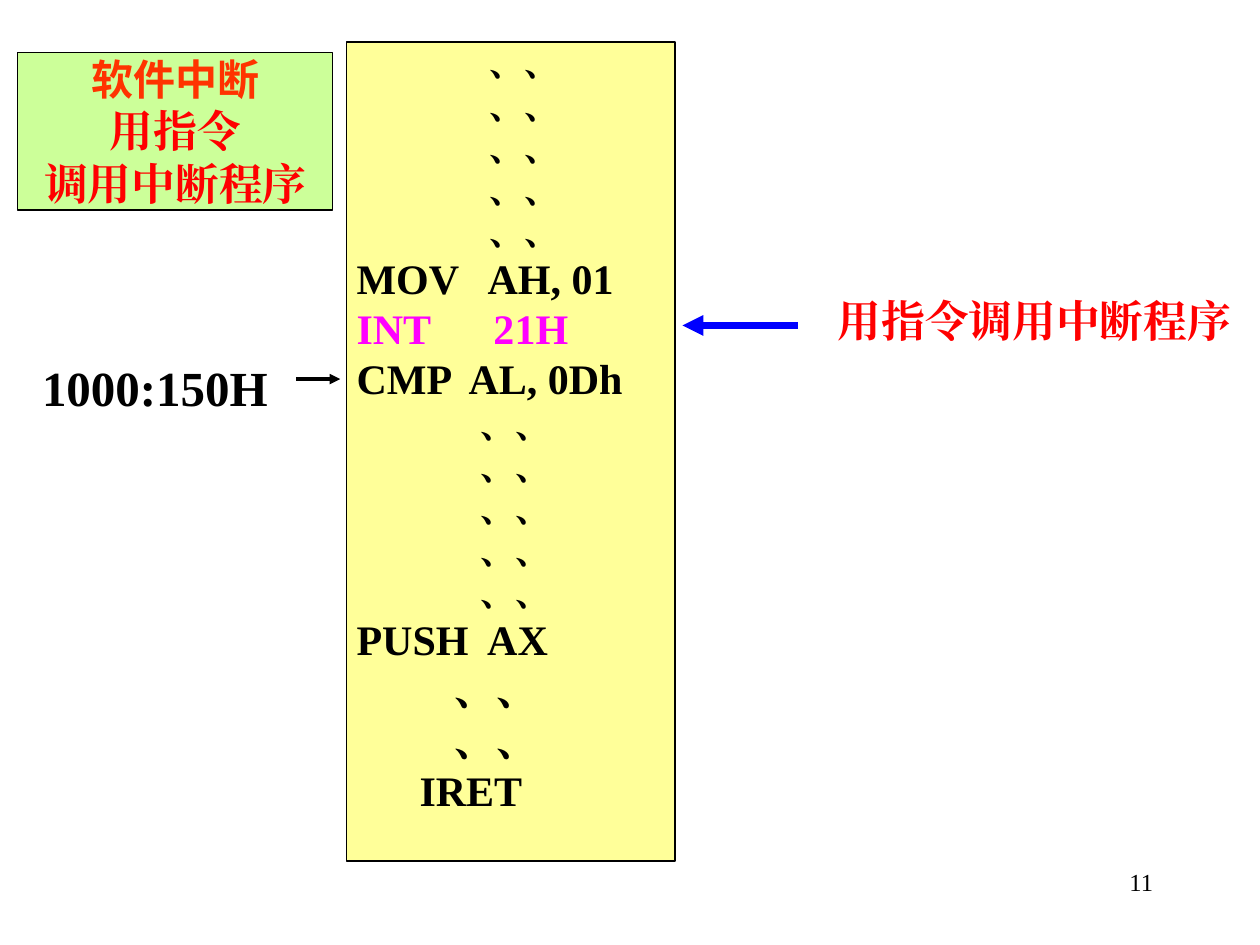
"""Build the slide on calling an interrupt routine by a software instruction."""
from lxml import etree
from pptx import Presentation, util as u
from pptx.dml.color import RGBColor
from pptx.enum import shapes, text
from pptx.oxml.ns import qn

C = {"black": "000000", "white": "FFFFFF", "yellow": "FFFF99", "green": "CCFF99",
     "magenta": "FF00FF", "blue": "0000FF", "red": "FF0000", "orange": "FF3300"}
SERIF, SANS = "Times New Roman", "Noto Sans CJK SC"
LEFT, MID, RIGHT, JUST = (text.PP_ALIGN.LEFT, text.PP_ALIGN.CENTER,
                          text.PP_ALIGN.RIGHT, text.PP_ALIGN.JUSTIFY)
TOP, MIDDLE = text.MSO_ANCHOR.TOP, text.MSO_ANCHOR.MIDDLE

prs = Presentation()
prs.slide_width, prs.slide_height = u.Inches(10), u.Inches(7.5)
COL, ROW = prs.slide_width / 120, prs.slide_height / 90
s = prs.slides.add_slide(prs.slide_layouts[6])


def grid(x, y, w, h):
    return [round(n) for n in (x * COL, y * ROW, w * COL, h * ROW)]


def write(sp, lines, insets, anchor=TOP, wrap=True):
    tf = sp.text_frame
    tf.word_wrap, tf.vertical_anchor = wrap, anchor
    for side, inset in zip(("left", "top", "right", "bottom"), insets):
        setattr(tf, f"margin_{side}", u.Inches(inset))
    for i, (words, size, color, align, indent, font, bold) in enumerate(lines):
        p = tf.add_paragraph() if i else tf.paragraphs[0]
        p.alignment = align
        if indent:
            p._p.get_or_add_pPr().set("marL", str(u.Inches(indent)))
        r = p.add_run()
        r.text = words
        look = {"size": u.Pt(size), "bold": bold, "name": font}
        for key, value in look.items():
            setattr(r.font, key, value)
        r.font.color.rgb = RGBColor.from_string(C[color])
        etree.SubElement(r._r.get_or_add_rPr(), qn("a:ea"), typeface=font)


dots = ("、、", 20, "black", MID)
program = [
    *[(*dots, 0.14, SERIF, True)] * 5,
    ("MOV   AH, 01", 24, "black", LEFT, 0, SERIF, True),
    ("INT      21H", 24, "magenta", LEFT, 0, SERIF, True),
    ("CMP  AL, 0Dh", 24, "black", LEFT, 0, SERIF, True),
    *[(*dots, 0, SERIF, True)] * 5,
    ("PUSH  AX", 24, "black", LEFT, 0, SERIF, True),
    *[("、、", 24, "black", LEFT, 0.78, SERIF, True)] * 2,
    ("IRET", 24, "black", LEFT, 0.5, SERIF, True),
]
title = [
    ("软件中断", 24, "orange", MID, 0, SANS, True),
    ("用指令", 25, "red", MID, 0, SERIF, True),
    ("调用中断程序", 25, "red", MID, 0, SERIF, True),
]

pad, flush = (0.1, 0.05, 0.1, 0.05), (0, 0, 0, 0)
labels = [
    ((86, 82, 25, 6), ("11", 14, "black", RIGHT, 0, SERIF, False), pad),
    ((4, 34, 24.6, 3.7), ("1000:150H", 28, "black", JUST, 0, SERIF, True), flush),
    ((77, 28, 43, 5), ("用指令调用中断程序", 25, "red", MID, 0, SERIF, True), flush),
]
for place, line, insets in labels:
    write(s.shapes.add_textbox(*grid(*place)), [line], insets)

panels = [
    ((33, 4, 31.3, 78), "yellow", 1, program, (0.08, 0, 0, 0), TOP, True),
    ((1.7, 5, 30, 15), "green", 0.75, title, pad, MIDDLE, False),
]
for place, fill, weight, lines, insets, anchor, wrap in panels:
    sp = s.shapes.add_shape(shapes.MSO_SHAPE.RECTANGLE, *grid(*place))
    sp.shadow.inherit = False
    sp.fill.solid()
    sp.fill.fore_color.rgb = RGBColor.from_string(C[fill])
    sp.line.color.rgb = RGBColor.from_string(C["black"])
    sp.line.width = u.Pt(weight)
    write(sp, lines, insets, anchor, wrap)

arrows = [((28.2, 36.1, 32.4, 36.1), "black", 2), ((76, 31, 65, 31), "blue", 4)]
for ends, color, weight in arrows:
    ln = s.shapes.add_connector(shapes.MSO_CONNECTOR.STRAIGHT, *grid(*ends))
    ln.line.color.rgb = RGBColor.from_string(C[color])
    ln.line.width = u.Pt(weight)
    etree.SubElement(ln.line._get_or_add_ln(), qn("a:tailEnd"), type="triangle")
    etree.SubElement(ln._element.spPr, qn("a:effectLst"))

prs.save("out.pptx")
